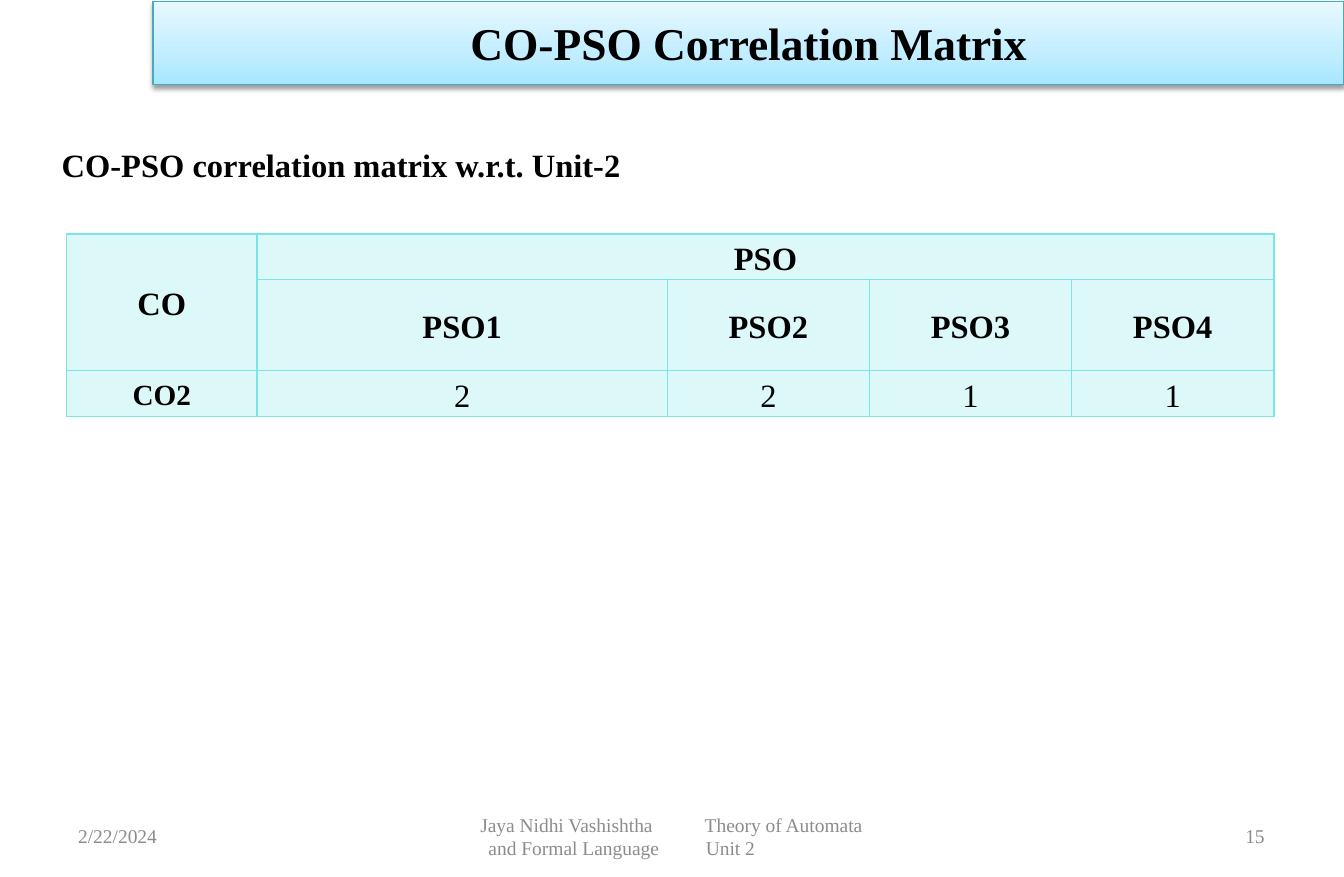
from lxml import etree
from pptx import Presentation
from pptx.dml.color import RGBColor
from pptx.enum.text import MSO_ANCHOR, MSO_AUTO_SIZE, PP_ALIGN
from pptx.oxml import parse_xml
from pptx.oxml.ns import nsdecls, qn
from pptx.util import Inches, Pt

LEFT, CENTER, RIGHT = PP_ALIGN.LEFT, PP_ALIGN.CENTER, PP_ALIGN.RIGHT
MIDDLE, TOP = MSO_ANCHOR.MIDDLE, MSO_ANCHOR.TOP
NO_AUTOFIT = MSO_AUTO_SIZE.NONE

COLORS = {
    "text": "000000",
    "footer": "8C8C8C",
    "table": "7BE5E5",
    "banner_line": "46AAC5",
    "shadow": "000000",
}
BANNER_STOPS = [(0, "A7E6FF"), (35, "C1EDFF"), (100, "E7F8FF")]
FONT = "Times New Roman"

COLUMN_WIDTHS = [1.63, 3.51, 1.73, 1.73, 1.73]
ROW_HEIGHTS = [0.39, 0.78, 0.39]
MATRIX = [
    ["CO", "PSO", "", "", ""],
    ["", "PSO1", "PSO2", "PSO3", "PSO4"],
    ["CO2", "2", "2", "1", "1"],
]


def write(paragraph, text, size, color="text", bold=False, align=CENTER):
    paragraph.text = text
    paragraph.alignment = align
    formats = {"name": FONT, "size": Pt(size), "bold": bold}
    for name, value in formats.items():
        setattr(paragraph.font, name, value)
    paragraph.font.color.rgb = RGBColor.from_string(COLORS[color])


def set_frame(text_frame, **formats):
    for name, value in formats.items():
        setattr(text_frame, name, value)


def add_text(slide, box, text, size, color="text", bold=False, align=LEFT, anchor=MIDDLE):
    text_box = slide.shapes.add_textbox(*map(Inches, box))
    set_frame(text_box.text_frame, word_wrap=True, vertical_anchor=anchor)
    write(text_box.text_frame.paragraphs[0], text, size, color, bold, align)
    return text_box


def add_banner(slide, box, text):
    title = slide.shapes.title
    title.left, title.top, title.width, title.height = map(Inches, box)
    set_frame(
        title.text_frame, word_wrap=True, auto_size=NO_AUTOFIT, vertical_anchor=MIDDLE,
        margin_left=Inches(0.09), margin_right=Inches(0.09),
        margin_top=Inches(0.04), margin_bottom=Inches(0.04),
    )
    write(title.text_frame.paragraphs[0], text, 28, bold=True)
    stops = "".join(
        f'<a:gs pos="{position * 1000}"><a:srgbClr val="{color}"/></a:gs>'
        for position, color in BANNER_STOPS
    )
    properties = title.element.spPr
    properties.append(parse_xml(
        f'<a:gradFill {nsdecls("a")} rotWithShape="1"><a:gsLst>{stops}</a:gsLst>'
        '<a:lin ang="16200000" scaled="1"/></a:gradFill>'
    ))
    title.line.color.rgb = RGBColor.from_string(COLORS["banner_line"])
    title.line.width = Pt(0.75)
    properties.append(parse_xml(
        f'<a:effectLst {nsdecls("a")}><a:outerShdw blurRad="{Pt(3.1)}" dist="{Pt(1.6)}" '
        f'dir="5400000" rotWithShape="0"><a:srgbClr val="{COLORS["shadow"]}">'
        '<a:alpha val="38000"/></a:srgbClr></a:outerShdw></a:effectLst>'
    ))


def style_cell(cell):
    """Give the cell its borders and translucent fill."""
    properties = cell._tc.get_or_add_tcPr()
    color = f'<a:srgbClr val="{COLORS["table"]}"/>'
    for side in ("lnL", "lnR", "lnT", "lnB"):
        properties.append(parse_xml(
            f'<a:{side} {nsdecls("a")} w="{Pt(1)}"><a:solidFill>{color}</a:solidFill></a:{side}>'
        ))
    cell.fill.solid()
    cell.fill.fore_color.rgb = RGBColor.from_string(COLORS["table"])
    fill_color = properties.find(qn("a:solidFill")).find(qn("a:srgbClr"))
    etree.SubElement(fill_color, qn("a:alpha"), val="25000")


def add_matrix(slide, box):
    frame = slide.shapes.add_table(len(MATRIX), len(COLUMN_WIDTHS), *map(Inches, box))
    table = frame.table
    table.first_row = table.horz_banding = False
    for column, width in zip(table.columns, COLUMN_WIDTHS):
        column.width = Inches(width)
    for row, height in zip(table.rows, ROW_HEIGHTS):
        row.height = Inches(height)
    for row_index, values in enumerate(MATRIX):
        for column_index, value in enumerate(values):
            cell = table.cell(row_index, column_index)
            set_frame(
                cell, vertical_anchor=MIDDLE, margin_top=0, margin_bottom=0,
                margin_left=Inches(0.09), margin_right=Inches(0.09),
            )
            style_cell(cell)
            if value:
                paragraph = cell.text_frame.paragraphs[0]
                is_label = row_index < 2 or column_index == 0
                write(paragraph, value, 18 if value == "CO2" else 20, bold=is_label)
                paragraph.line_spacing = 1.15
    table.cell(0, 0).merge(table.cell(1, 0))
    table.cell(0, 1).merge(table.cell(0, 4))


def add_course(slide, box):
    """Place the lecturer and course as two lines, each parted by a tab stop."""
    text_box = slide.shapes.add_textbox(*map(Inches, box))
    text_frame = text_box.text_frame
    set_frame(text_frame, word_wrap=True, vertical_anchor=MIDDLE,
              margin_left=Inches(0.18), margin_right=0)
    lines = [
        ("Jaya Nidhi Vashishtha\tTheory of Automata", 0, 1.92),
        ("and Formal Language\tUnit 2", 0.07, 1.86),
    ]
    for index, (text, indent, tab) in enumerate(lines):
        paragraph = text_frame.add_paragraph() if index else text_frame.paragraphs[0]
        properties = paragraph._p.get_or_add_pPr()
        properties.set("marL", str(Inches(indent)))
        properties.append(parse_xml(
            f'<a:tabLst {nsdecls("a")}><a:tab pos="{Inches(tab)}" algn="l"/></a:tabLst>'
        ))
        write(paragraph, text, 12, "footer", align=LEFT)


def add_footer(slide, left, top, width, height):
    side_width = 2.68
    add_text(slide, (left, top, side_width, height), "2/22/2024", 12, "footer")
    add_course(slide, (left + 3.36, top, 3.64, height))
    add_text(slide, (left + width - side_width, top, side_width, height),
             "15", 12, "footer", align=RIGHT)


def main():
    presentation = Presentation()
    presentation.slide_width, presentation.slide_height = Inches(11.5), Inches(7.5)
    slide = presentation.slides.add_slide(presentation.slide_layouts[5])
    add_banner(slide, (1.31, 0.01, 10.19, 0.71), "CO-PSO Correlation Matrix")
    heading = add_text(slide, (0.41, 1.19, 5.02, 0.44), "CO-PSO correlation matrix w.r.t. Unit-2",
                       20, bold=True, align=CENTER, anchor=TOP)
    heading.text_frame.word_wrap = False
    add_matrix(slide, (0.57, 2, 10.35, 1.55))
    add_footer(slide, 0.57, 6.95, 10.35, 0.4)
    presentation.save("out.pptx")


if __name__ == "__main__":
    main()
